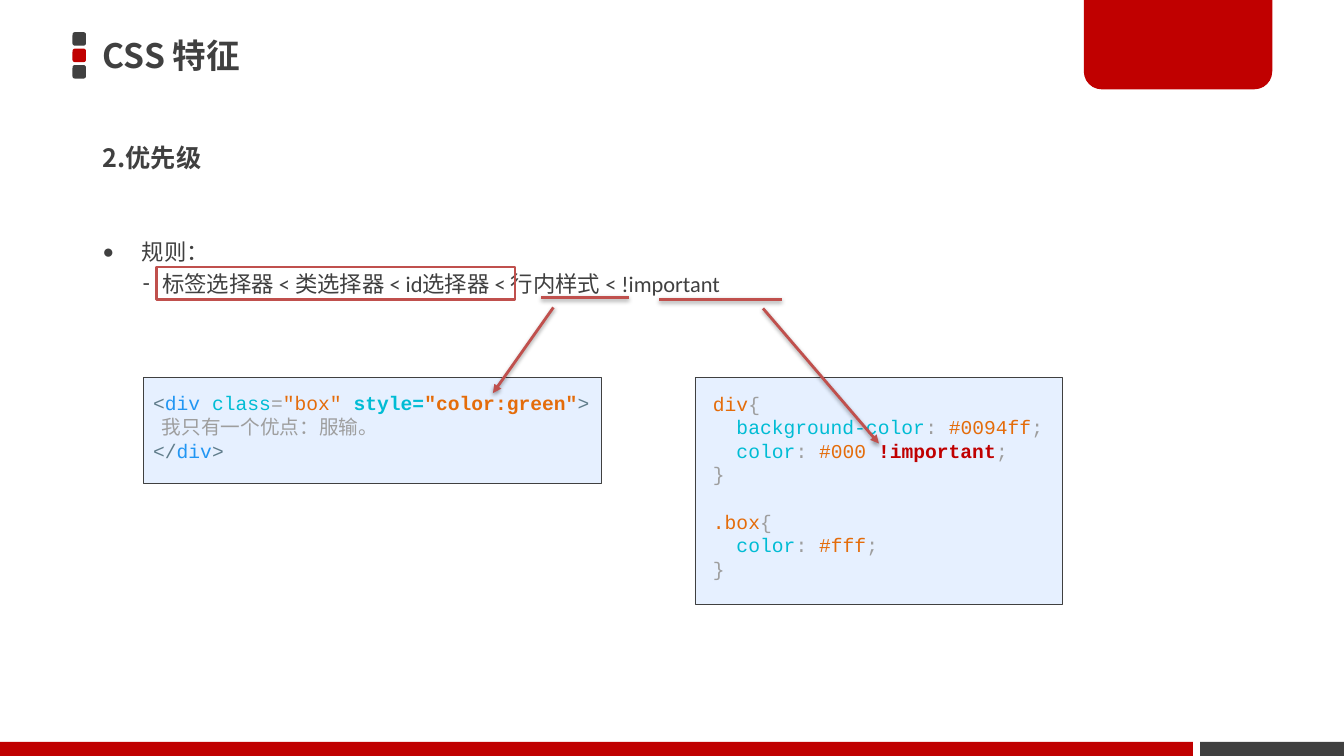
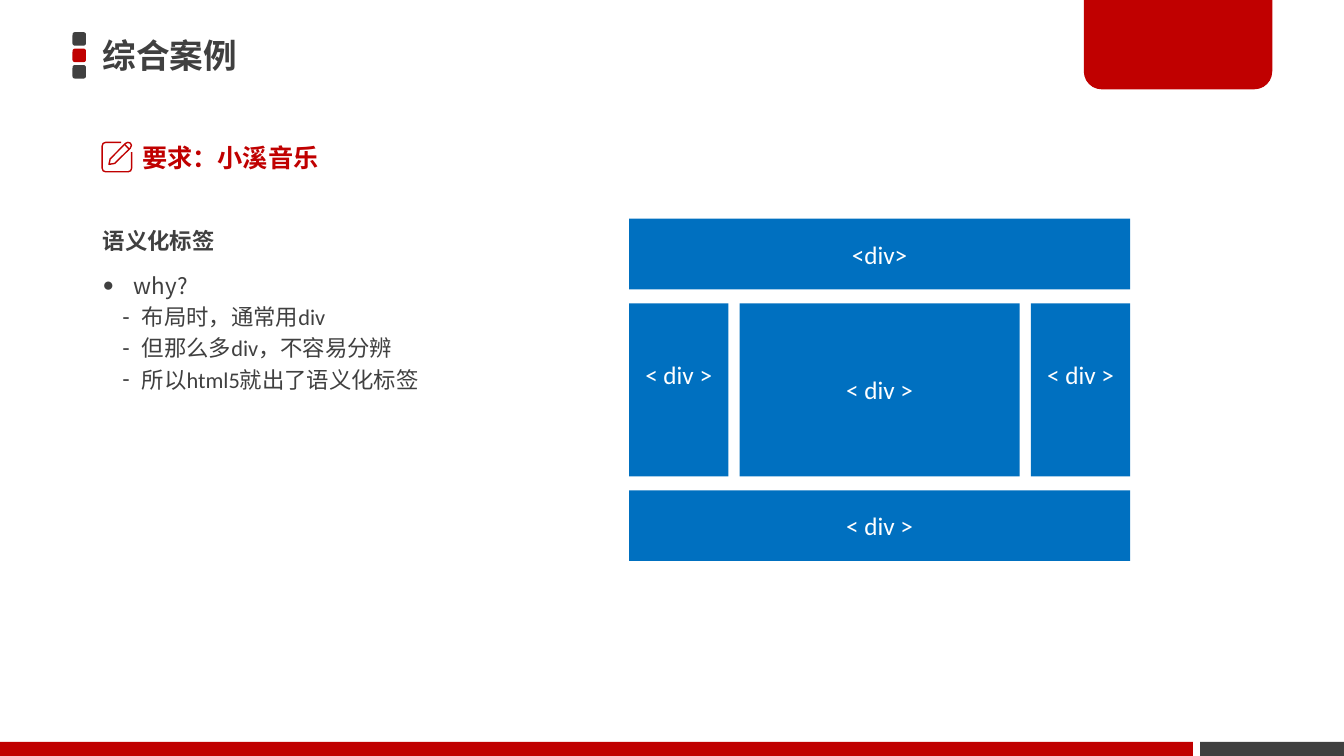
from lxml import etree
from pptx import Presentation
from pptx.dml.color import RGBColor
from pptx.enum.shapes import MSO_CONNECTOR, MSO_SHAPE
from pptx.enum.text import MSO_ANCHOR, MSO_AUTO_SIZE, PP_ALIGN
from pptx.oxml.ns import qn
from pptx.util import Pt

RECT, ROUNDED = MSO_SHAPE.RECTANGLE, MSO_SHAPE.ROUNDED_RECTANGLE
TAB = MSO_SHAPE.ROUND_2_SAME_RECTANGLE
STRAIGHT = MSO_CONNECTOR.STRAIGHT
LEFT, CENTER = PP_ALIGN.LEFT, PP_ALIGN.CENTER
TOP, MIDDLE = MSO_ANCHOR.TOP, MSO_ANCHOR.MIDDLE

HEADING_FONT, BODY_FONT, CODE_FONT = "Noto Sans CJK JP", "Calibri", "Courier New"
WHY_FONT = "Noto Sans CJK SC"
WIDTH, HEIGHT = 960, 540
COLORS = {
    "dark": "404040", "red": "C00000", "mark": "C0504D", "panel": "E6F0FF",
    "block": "0070C0", "white": "FFFFFF", "shadow": "000000",
    "selector": "E46C0A", "property": "00BCD4", "punct": "9E9E9E",
    "bracket": "607D8B", "tag": "2196F3",
}

# (text, style): "lead" is a bold line, "dot" a round bullet, "dash" a sub-item
RULES = [
    ("规则：", "dot"),
    ("标签选择器 < 类选择器 < id选择器 < 行内样式 < !important", "dash"),
]
REASONS = [
    ("语义化标签", "lead"),
    ("why?", "dot"),
    ("布局时，通常用div", "dash"),
    ("但那么多div，不容易分辨", "dash"),
    ("所以html5就出了语义化标签", "dash"),
]

# Code lines hold (text, colour) runs; a third item marks bold
HTML_CODE = [
    [("<", "bracket"), ("div ", "tag"), ("class", "property"), ("=", "punct"),
     ('"box" ', "selector"), ("style=", "property", True),
     ('"color:green"', "selector", True), (">", "bracket")],
    [("  我只有一个优点：服输。", "punct")],
    [("</", "bracket"), ("div", "tag"), (">", "bracket")],
]
CSS_CODE = [
    [("div", "selector"), ("{", "punct")],
    [("  background-color", "property"), (": ", "punct"),
     ("#0094ff", "selector"), (";", "punct")],
    [("  color", "property"), (": ", "punct"), ("#000 ", "selector"),
     ("!important", "red", True), (";", "punct")],
    [("}", "punct")],
    [(".box", "selector"), ("{", "punct")],
    [("  color", "property"), (": ", "punct"), ("#fff", "selector"), (";", "punct")],
    [("}", "punct")],
]
CODE_LEADING = 16.9

# Start, end, arrow
MARKS = [
    ((386.5, 212.4), (449.3, 212.4), False),
    ((395.3, 219.6), (352.1, 280.8), True),
    ((471, 213.8), (558.7, 213.8), False),
    ((545, 220.3), (627.8, 316.8), True),
]

# Layout sketch: (row height, [(label, width, lift)])
SIDE = ("< div >", 71, 22)
BLOCK_ROWS = [
    (50.5, [("<div>", 358, 0)]),
    (123.5, [SIDE, ("< div >", 200, 0), SIDE]),
    (50.5, [("< div >", 358, 0)]),
]
BLOCK_LEFT, BLOCK_TOP, COLUMN_GAP, ROW_GAP = 449.3, 156.25, 8, 10

# Edit icon, in tenths of a point: (outline, closed)
EDIT_ICON = [
    ([(140, 5), (30, 5), (12, 12), (5, 30), (5, 190), (12, 208), (30, 215),
      (190, 215), (208, 208), (215, 190), (215, 75)], False),
    ([(54, 162), (62, 123), (172, 12), (188, 5), (206, 10), (214, 25),
      (206, 45), (95, 155)], True),
    ([(166, 20), (197, 52)], False),
]


def rgb(name):
    return RGBColor.from_string(COLORS[name])


def child(parent, tag, **attributes):
    element = etree.SubElement(parent, qn("a:" + tag))
    for key, value in attributes.items():
        element.set(key, str(value))
    return element


def place(shape, left, top, width, height):
    shape.left, shape.top, shape.width, shape.height = map(Pt, (left, top, width, height))


def add_box(slide, kind, box, fill=None, line=None, line_width=1):
    shape = slide.shapes.add_shape(kind, *map(Pt, box))
    shape.shadow.inherit = False
    if fill:
        shape.fill.solid()
        shape.fill.fore_color.rgb = rgb(fill)
    else:
        shape.fill.background()
    if line:
        shape.line.color.rgb = rgb(line)
        shape.line.width = Pt(line_width)
    else:
        shape.line.fill.background()
    return shape


def set_font(paragraph, name, size, color=None, bold=False, east_asian=None):
    font = paragraph.font
    font.name, font.size, font.bold = name, Pt(size), bold
    if color:
        font.color.rgb = rgb(color)
    defaults = paragraph._p.get_or_add_pPr().find(qn("a:defRPr"))
    child(defaults, "ea", typeface=east_asian or name)


def set_bullet(paragraph, char, margin, hanging):
    """Set indents in points; a char of None removes the bullet."""
    props = paragraph._p.get_or_add_pPr()
    props.set("marL", str(Pt(margin)))
    props.set("indent", str(Pt(-hanging)))
    if char is None:
        child(props, "buNone")
        return
    if char == "●":
        child(child(props, "buClr"), "srgbClr", val=COLORS["dark"])
        child(props, "buSzPct", val=85000)
    child(props, "buChar", char=char)


def fill_heading(placeholder, text, size, color):
    frame = placeholder.text_frame
    frame.text = text
    frame.auto_size, frame.vertical_anchor = MSO_AUTO_SIZE.NONE, MIDDLE
    paragraph = frame.paragraphs[0]
    paragraph.alignment, paragraph.space_before = LEFT, Pt(0)
    set_bullet(paragraph, None, 0, 0)
    set_font(paragraph, HEADING_FONT, size, color, True)


def fill_list(placeholder, items, dot_margin, dash_margin):
    frame = placeholder.text_frame
    frame.text = "\n".join(text for text, _ in items)
    frame.auto_size, frame.vertical_anchor = MSO_AUTO_SIZE.NONE, TOP
    bullets = {"lead": (None, 0, 0), "dot": ("●", dot_margin, dot_margin),
               "dash": ("-", dash_margin, 14)}
    for index, (paragraph, (text, style)) in enumerate(zip(frame.paragraphs, items)):
        paragraph.level = int(style == "dash")
        paragraph.space_before = Pt(3.2 if index else 0)
        paragraph.line_spacing = 1.0 if style == "dash" else 1.5
        set_bullet(paragraph, *bullets[style])
        font = WHY_FONT if text == "why?" else BODY_FONT
        set_font(paragraph, font, 16, "dark", style == "lead")


def add_code(slide, box, lines, inset):
    panel = add_box(slide, RECT, box, "panel", "dark", 0.25)
    frame = panel.text_frame
    frame.word_wrap, frame.vertical_anchor = True, TOP
    frame.margin_left, frame.margin_top, frame.margin_right = Pt(inset), Pt(10), 0
    for index, runs in enumerate(lines):
        paragraph = frame.add_paragraph() if index else frame.paragraphs[0]
        paragraph.alignment, paragraph.line_spacing = LEFT, Pt(CODE_LEADING)
        if runs[0][0] == ".box":
            paragraph.space_before = Pt(CODE_LEADING)
        set_font(paragraph, CODE_FONT, 14, east_asian=BODY_FONT)
        for text, color, *bold in runs:
            run = paragraph.add_run()
            run.text = text
            run.font.color.rgb = rgb(color)
            if bold:
                run.font.bold = True


def add_mark(slide, start, end, arrow):
    mark = slide.shapes.add_connector(STRAIGHT, *map(Pt, start + end))
    mark.line.color.rgb = rgb("mark")
    mark.line.width = Pt(2)
    props = mark.element.spPr
    if arrow:
        child(props.find(qn("a:ln")), "tailEnd", type="triangle")
    shadow = child(child(props, "effectLst"), "outerShdw", blurRad=Pt(3.1),
                   dist=Pt(1.6), dir=90 * 60000, rotWithShape=0)
    child(child(shadow, "srgbClr", val=COLORS["shadow"]), "alpha", val=38000)


def add_blocks(slide):
    top = BLOCK_TOP
    for height, cells in BLOCK_ROWS:
        left = BLOCK_LEFT
        for label, width, lift in cells:
            block = add_box(slide, RECT, (left, top, width, height), "block")
            frame = block.text_frame
            frame.text = label
            frame.vertical_anchor, frame.margin_bottom = MIDDLE, Pt(3.6 + lift)
            frame.paragraphs[0].alignment = CENTER
            set_font(frame.paragraphs[0], BODY_FONT, 18, "white")
            left += width + COLUMN_GAP
        top += height + ROW_GAP


def add_edit_icon(slide, left, top):
    builder = None
    for points, closed in EDIT_ICON:
        if builder is None:
            builder = slide.shapes.build_freeform(*points[0], scale=Pt(1) / 10)
        else:
            builder.move_to(*points[0])
        builder.add_line_segments(points[1:], close=closed)
    icon = builder.convert_to_shape(Pt(left), Pt(top))
    icon.shadow.inherit = False
    icon.fill.background()
    icon.line.color.rgb = rgb("red")
    icon.line.width = Pt(1)


def decorate_layout(layout, slide):
    """Draw the shared parts on a slide, then move them to its layout."""
    parts = [add_box(slide, ROUNDED, (51.8, 23 + 11.75 * row, 9.6, 9.6), color)
             for row, color in enumerate(("dark", "red", "dark"))]
    tab = add_box(slide, TAB, (774.2, 0, 134.6, 63.8), "red")
    tab.adjustments[0], tab.adjustments[1] = 0, 0.2
    parts += [tab,
              add_box(slide, RECT, (0, 530, 852, 10), "red"),
              add_box(slide, RECT, (857.3, 530, WIDTH - 857.3, 10), "dark")]
    for number, part in enumerate(parts):
        part.element.nvSpPr.cNvPr.set("id", str(100 + number))
        layout.shapes.element.insert(2 + number, part.element)
    place(layout.placeholders[0], 66.2, 18.7, 690.5, 41)


def add_slide(deck, layout, title, heading, heading_box, color):
    slide = deck.slides.add_slide(layout)
    fill_heading(slide.shapes.title, title, 24, "dark")
    place(slide.placeholders[1], *heading_box)
    fill_heading(slide.placeholders[1], heading, 18, color)
    return slide


def main():
    deck = Presentation()
    deck.slide_width, deck.slide_height = Pt(WIDTH), Pt(HEIGHT)
    layout = deck.slide_layouts[3]

    priority = add_slide(deck, layout, "CSS 特征", "2.优先级", (66.2, 92.2, 188.6, 41), "dark")
    decorate_layout(layout, priority)
    place(priority.placeholders[2], 66.2, 157, 533.5, 102)
    fill_list(priority.placeholders[2], RULES, 28, 42.5)
    add_code(priority, (496.3, 269.5, 262.5, 162), CSS_CODE, 13)
    add_code(priority, (102.3, 269.5, 327.2, 75.8), HTML_CODE, 7.2)
    add_box(priority, RECT, (111.8, 191, 256, 23), line="mark", line_width=1.5)
    for mark in MARKS:
        add_mark(priority, *mark)

    case = add_slide(deck, layout, "综合案例", "要求：小溪音乐", (94.3, 92.2, 239, 41), "red")
    place(case.placeholders[2], 66.2, 149, 334.8, 229.7)
    fill_list(case.placeholders[2], REASONS, 22.3, 28)
    add_edit_icon(case, 72.5, 101.2)
    add_blocks(case)

    deck.save("out.pptx")


if __name__ == "__main__":
    main()
